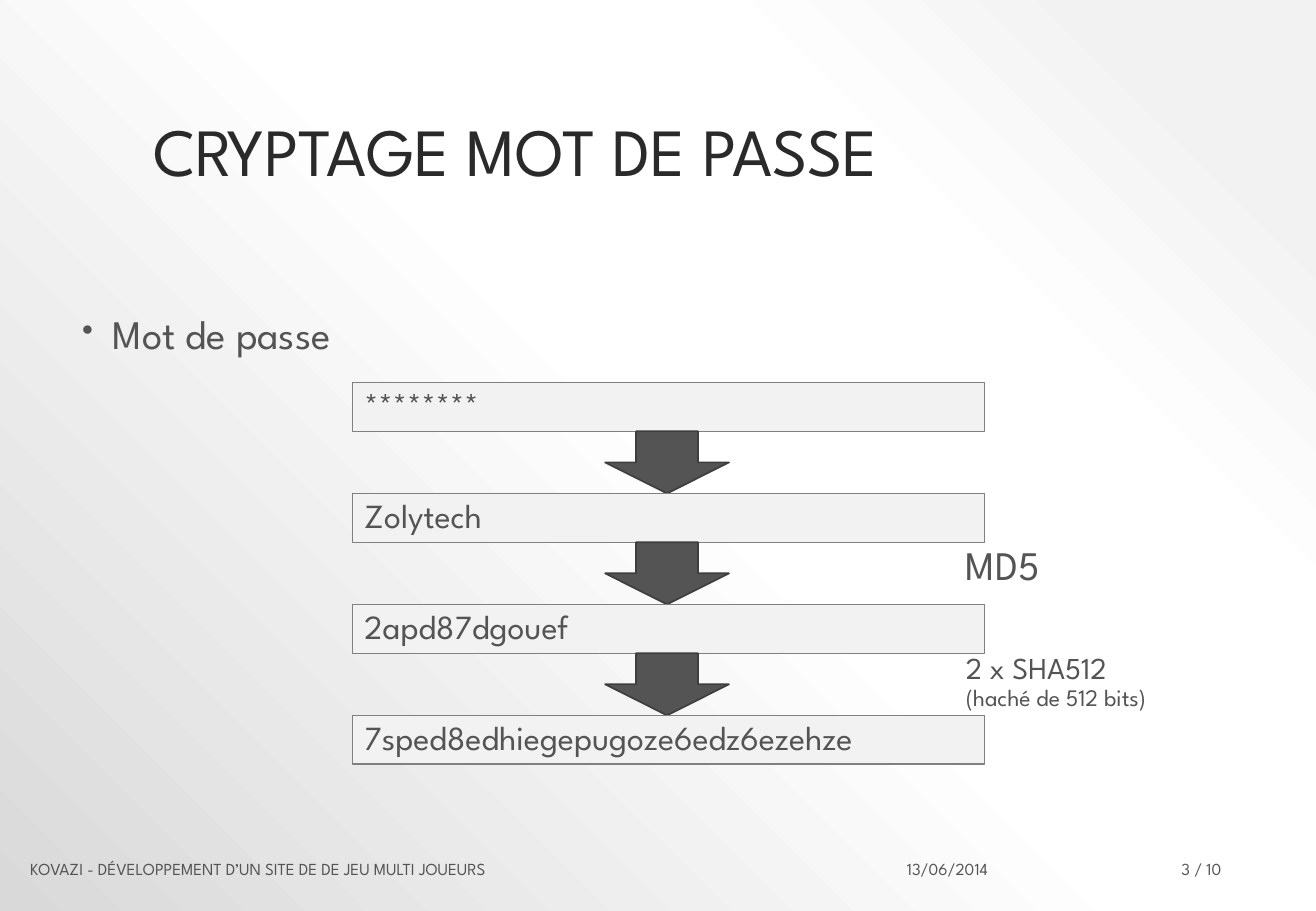
from dataclasses import dataclass

import lxml.etree
import pptx
import pptx.dml.color
import pptx.enum.shapes
import pptx.enum.text
import pptx.oxml.ns
import pptx.util
from pptx.util import Cm

FONT = "League Spartan"
GREY = "545454"
DARK = "2A2A2A"
ALIGN = pptx.enum.text.PP_ALIGN
ANCHOR = pptx.enum.text.MSO_ANCHOR
SHAPE = pptx.enum.shapes.MSO_SHAPE
qn = pptx.oxml.ns.qn


@dataclass
class Line:
    """One paragraph of text."""
    text: str
    size: int
    color: str = GREY
    spacing: float = 0.9
    align: ALIGN = ALIGN.LEFT


@dataclass
class Label:
    """A text box, with lengths in centimetres."""
    left: float
    top: float
    width: float
    height: float
    lines: list[Line]
    anchor: ANCHOR = ANCHOR.TOP


def rgb(color: str) -> pptx.dml.color.RGBColor:
    """Turn a hex string into a colour."""
    return pptx.dml.color.RGBColor.from_string(color)


def write(frame, lines: list[Line], anchor=ANCHOR.TOP) -> None:
    """Fill a text frame with paragraphs."""
    frame.word_wrap = True
    frame.vertical_anchor = anchor
    for index, line in enumerate(lines):
        para = frame.paragraphs[0] if index == 0 else frame.add_paragraph()
        para.alignment = line.align
        para.line_spacing = line.spacing
        span = para.add_run()
        span.text = line.text
        span.font.name = FONT
        span.font.size = pptx.util.Pt(line.size)
        span.font.color.rgb = rgb(line.color)


def add_label(page, label: Label):
    """Add a text box and return it."""
    box = page.shapes.add_textbox(
        Cm(label.left), Cm(label.top), Cm(label.width), Cm(label.height))
    write(box.text_frame, label.lines, label.anchor)
    return box


def add_block(page, kind: SHAPE, left: float, top: float, width: float,
              height: float, fill: str, outline: str, weight: float):
    """Add a filled, outlined shape and return it."""
    block = page.shapes.add_shape(kind, Cm(left), Cm(top), Cm(width), Cm(height))
    block.shadow.inherit = False
    block.fill.solid()
    block.fill.fore_color.rgb = rgb(fill)
    block.line.color.rgb = rgb(outline)
    block.line.width = pptx.util.Pt(weight)
    return block


def add_bullet(para, color: str, percent: int) -> None:
    """Give a paragraph a hanging round bullet."""
    props = para._p.get_or_add_pPr()
    props.set("marL", str(Cm(0.76)))
    props.set("indent", str(Cm(-0.64)))
    holder = lxml.etree.SubElement(props, qn("a:buClr"))
    lxml.etree.SubElement(holder, qn("a:srgbClr"), val=color)
    lxml.etree.SubElement(props, qn("a:buSzPct"), val=str(percent * 1000))
    lxml.etree.SubElement(props, qn("a:buChar"), char="\u2022")


def paint_background(page, stops: list[tuple[int, str]]) -> None:
    """Spread a circular gradient from the top right corner."""
    page.background.fill.gradient()
    gradient = page._element.find(".//" + qn("a:gradFill"))
    for child in list(gradient):
        gradient.remove(child)
    stop_list = lxml.etree.SubElement(gradient, qn("a:gsLst"))
    for percent, color in stops:
        stop = lxml.etree.SubElement(stop_list, qn("a:gs"), pos=str(percent * 1000))
        lxml.etree.SubElement(stop, qn("a:srgbClr"), val=color)
    circle = lxml.etree.SubElement(gradient, qn("a:path"))
    circle.set("path", "circle")
    lxml.etree.SubElement(circle, qn("a:fillToRect"), l="100000", b="100000")


def add_chain(page, steps: list[str]) -> None:
    """Stack the password stages, with an arrow filling each gap."""
    left, top, width, height, pitch = 7.37, 8.0, 13.21, 1.02, 2.32
    for index, step in enumerate(steps):
        row_top = top + index * pitch
        field = add_block(page, SHAPE.RECTANGLE, left, row_top, width, height,
                          "F2F2F2", "808080", 0.75)
        write(field.text_frame, [Line(step, 20)])
        if index < len(steps) - 1:
            add_block(page, SHAPE.DOWN_ARROW, 12.65, row_top + height, 2.59,
                      pitch - height, GREY, "3E3E3E", 1)


def footer(left: float, width: float, text: str, align=ALIGN.RIGHT) -> Label:
    """Describe one item of the bottom row."""
    return Label(left, 17.91, width, 0.51,
                 [Line(text, 10, spacing=1.0, align=align)], ANCHOR.MIDDLE)


deck = pptx.Presentation()
deck.slide_width, deck.slide_height = Cm(27.51), Cm(19.05)
page = deck.slides.add_slide(deck.slide_layouts[6])
paint_background(page, [(10, "F2F2F2"), (28, "FFFFFF"),
                        (48, "FFFFFF"), (100, "D9D9D9")])

topic = add_label(page, Label(1.35, 5.33, 24.41, 11.81,
                              [Line("Mot de passe", 24, spacing=2.0)]))
topic_para = topic.text_frame.paragraphs[0]
topic_para.space_before = pptx.util.Pt(18)
add_bullet(topic_para, GREY, 80)

add_chain(page, ["********", "Zolytech", "2apd87dgouef",
                 "7sped8edhiegepugoze6edz6ezehze"])

for label in [
    Label(2.95, 2.34, 22.81, 3.68, [Line("CRYPTAGE MOT DE PASSE", 40, DARK)]),
    Label(19.94, 11.28, 6.43, 1.17, [Line("MD5", 24)]),
    Label(19.94, 13.54, 6.43, 1.5,
          [Line("2 x SHA512", 18), Line("(haché de 512 bits)", 14)]),
    footer(0.38, 15.49, "KOVAZI - DÉVELOPPEMENT D’UN SITE DE DE JEU MULTI JOUEURS",
           ALIGN.LEFT),
    footer(17.75, 3.15, "13/06/2014"),
    footer(23.19, 2.59, "3 / 10"),
]:
    add_label(page, label)

deck.save("out.pptx")
